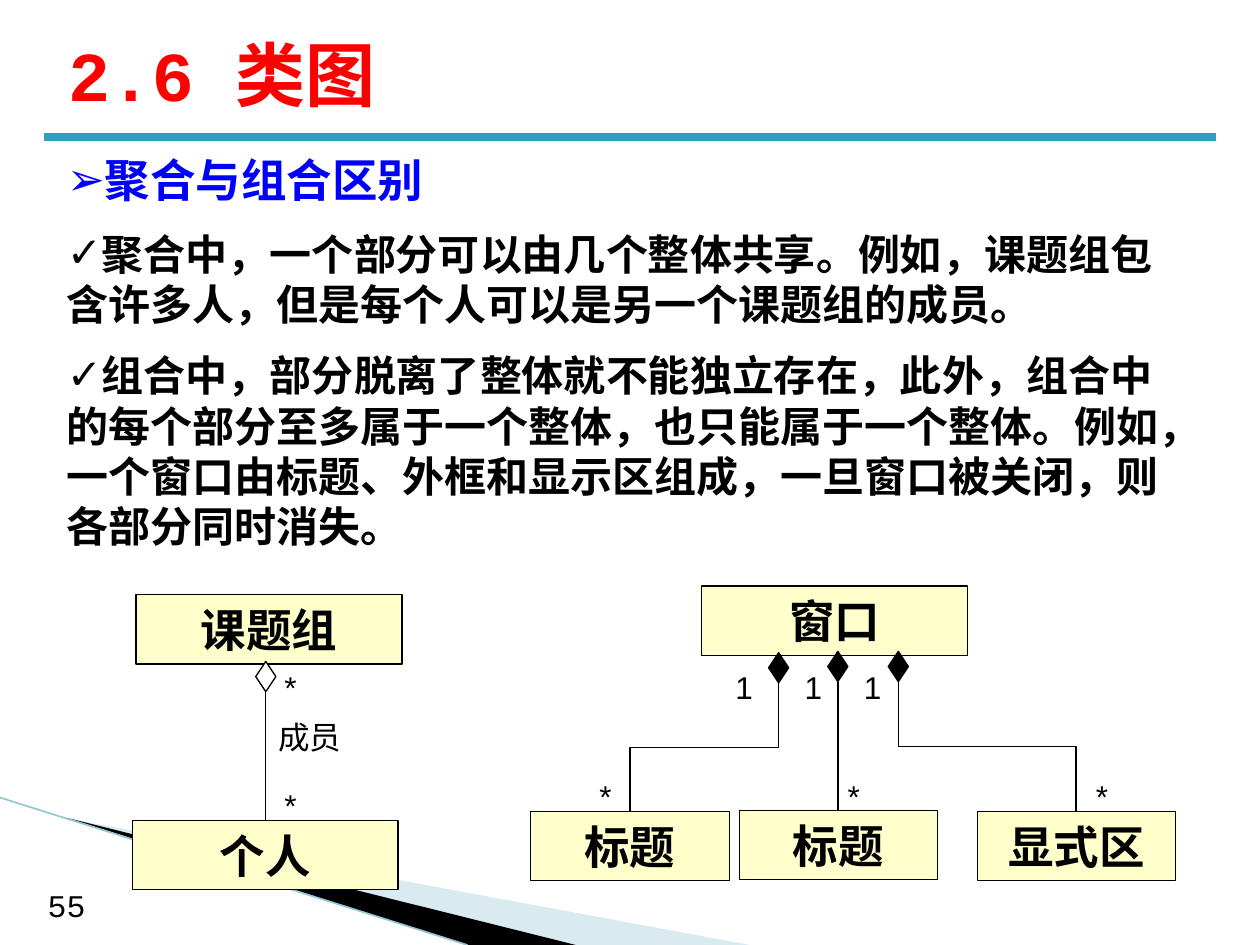
"""Build the class diagram slide comparing aggregation with composition."""
from dataclasses import dataclass

from lxml import etree
from pptx import Presentation
from pptx.dml.color import RGBColor
from pptx.enum.shapes import MSO_CONNECTOR, MSO_SHAPE
from pptx.enum.text import MSO_ANCHOR, MSO_AUTO_SIZE, PP_ALIGN
from pptx.oxml.ns import qn
from pptx.util import Inches, Pt

RECTANGLE, DIAMOND = MSO_SHAPE.RECTANGLE, MSO_SHAPE.DIAMOND
STRAIGHT, ELBOW = MSO_CONNECTOR.STRAIGHT, MSO_CONNECTOR.ELBOW
TOP, MIDDLE = MSO_ANCHOR.TOP, MSO_ANCHOR.MIDDLE
LEFT, CENTER = PP_ALIGN.LEFT, PP_ALIGN.CENTER
NO_AUTOSIZE = MSO_AUTO_SIZE.NONE

BLACK, WHITE, CREAM = "000000", "FFFFFF", "FFFFCC"
HEADING = {"name": "Courier New", "bold": True}
CLASS_NAME = {"name": "Arial", "size": Pt(26), "bold": True}
LABEL = {"name": "Arial", "size": Pt(18), "bold": False}
PAGE_NUMBER = {"name": "Courier New", "size": Pt(18), "bold": False}


@dataclass
class ClassBox:
    name: str
    left: float
    top: float
    width: float


@dataclass
class Link:
    start: tuple[float, float]
    end: tuple[float, float]
    diamond_fill: str


@dataclass
class Label:
    text: str
    left: float
    top: float
    width: float = 0.71
    align: int = CENTER


@dataclass
class Point:
    text: str
    bullet: str
    size: int
    color: str


CLASSES = [
    ClassBox("课题组", 1.08, 4.72, 2.11),
    ClassBox("个人", 1.05, 6.51, 2.11),
    ClassBox("窗口", 5.57, 4.65, 2.11),
    ClassBox("标题", 4.21, 6.44, 1.58),
    ClassBox("标题", 5.87, 6.43, 1.57),
    ClassBox("显式区", 7.76, 6.44, 1.57),
]
LINKS = [
    Link((2.11, 5.49), (2.11, 6.51), WHITE),
    Link((6.18, 5.42), (5, 6.44), BLACK),
    Link((6.65, 5.41), (6.65, 6.43), BLACK),
    Link((7.13, 5.41), (8.54, 6.44), BLACK),
]
LABELS = [
    Label("*", 1.95, 5.25),
    Label("成员", 2.11, 5.65, align=LEFT),
    Label("*", 1.95, 6.19),
    Label("*", 4.45, 6.12),
    Label("*", 6.42, 6.12),
    Label("*", 8.39, 6.12),
    Label("1", 5.55, 5.25),
    Label("1", 6.1, 5.25),
    Label("1", 6.65, 5.25, 0.55),
]
POINTS = [
    Point("聚合与组合区别", "➢", 26, "0000FF"),
    Point("聚合中，一个部分可以由几个整体共享。例如，课题组包含许多人，"
          "但是每个人可以是另一个课题组的成员。", "✓", 24, BLACK),
    Point("组合中，部分脱离了整体就不能独立存在，此外，组合中的每个部分至多属于一个整体，"
          "也只能属于一个整体。例如，一个窗口由标题、外框和显示区组成，"
          "一旦窗口被关闭，则各部分同时消失。", "✓", 24, BLACK),
]


def rgb(value: str) -> RGBColor:
    return RGBColor.from_string(value)


def style_font(font, values: dict, color: str) -> None:
    for attribute, value in values.items():
        setattr(font, attribute, value)
    font.color.rgb = rgb(color)


def place(shape, left: float, top: float, width: float, height: float) -> None:
    bounds = {"left": left, "top": top, "width": width, "height": height}
    for attribute, value in bounds.items():
        setattr(shape, attribute, Inches(value))


def write(frame, text: str, values: dict, color: str, align: int, anchor: int) -> None:
    frame.word_wrap = True
    frame.auto_size = NO_AUTOSIZE
    frame.vertical_anchor = anchor
    paragraph = frame.paragraphs[0]
    paragraph.text = text
    paragraph.alignment = align
    style_font(paragraph.font, values, color)


def add_points(body, points: list[Point]) -> None:
    frame = body.text_frame
    frame.word_wrap = True
    frame.auto_size = NO_AUTOSIZE
    for index, point in enumerate(points):
        paragraph = frame.paragraphs[0] if index == 0 else frame.add_paragraph()
        paragraph.text = point.text
        paragraph.space_before = Pt(12 if index else 0)
        properties = paragraph._p.get_or_add_pPr()
        properties.set("marL", "0")
        properties.set("indent", "0")
        etree.SubElement(properties, qn("a:buFont")).set("typeface", "Arial")
        etree.SubElement(properties, qn("a:buChar")).set("char", point.bullet)
        style_font(paragraph.font, HEADING | {"size": Pt(point.size)}, point.color)


def add_line(slide, kind: int, start: tuple, end: tuple, color: str, width: float):
    line = slide.shapes.add_connector(kind, *map(Inches, (*start, *end)))
    line.line.color.rgb = rgb(color)
    line.line.width = Pt(width)
    etree.SubElement(line._element.spPr, qn("a:effectLst"))
    return line


def add_wedge(slide, corners: list[tuple], color: str, opacity: int) -> None:
    points = [(Inches(x), Inches(y)) for x, y in corners]
    builder = slide.shapes.build_freeform(*points[0])
    builder.add_line_segments(points[1:], close=True)
    wedge = builder.convert_to_shape()
    wedge.shadow.inherit = False
    wedge.fill.solid()
    wedge.fill.fore_color.rgb = rgb(color)
    wedge.line.fill.background()
    if opacity < 100:
        fill_color = wedge._element.spPr.find(".//" + qn("a:srgbClr"))
        etree.SubElement(fill_color, qn("a:alpha")).set("val", str(opacity * 1000))


def add_outlined(slide, kind: int, bounds: tuple, fill: str):
    shape = slide.shapes.add_shape(kind, *map(Inches, bounds))
    shape.shadow.inherit = False
    shape.fill.solid()
    shape.fill.fore_color.rgb = rgb(fill)
    shape.line.color.rgb = rgb(BLACK)
    shape.line.width = Pt(0.75)
    return shape


def add_class(slide, box: ClassBox) -> None:
    shape = add_outlined(slide, RECTANGLE, (box.left, box.top, box.width, 0.55), CREAM)
    write(shape.text_frame, box.name, CLASS_NAME, BLACK, CENTER, MIDDLE)


def add_link(slide, link: Link) -> None:
    (x1, y1), (x2, y2) = link.start, link.end
    center_x, center_y = (x1 + x2) / 2, (y1 + y2) / 2
    half_run, half_rise = (y2 - y1) / 2, abs(x2 - x1) / 2
    side = -1 if x2 > x1 else 1
    elbow = add_line(slide, ELBOW,
                     (center_x - side * half_run, center_y - half_rise),
                     (center_x + side * half_run, center_y + half_rise), BLACK, 0.75)
    turn = 90 if side > 0 else 270
    elbow._element.spPr.find(qn("a:xfrm")).set("rot", str(turn * 60000))
    add_outlined(slide, DIAMOND, (x1 - 0.08, y1 - 0.24, 0.16, 0.24), link.diamond_fill)


def add_label(slide, label: Label, values: dict) -> None:
    bounds = (label.left, label.top, label.width, 0.4)
    box = slide.shapes.add_textbox(*map(Inches, bounds))
    write(box.text_frame, label.text, values, BLACK, label.align, TOP)


def main() -> None:
    deck = Presentation()
    deck.slide_width, deck.slide_height = Inches(10), Inches(7.5)
    slide = deck.slides.add_slide(deck.slide_layouts[1])
    title, body = slide.placeholders
    place(title, 0.44, 0.16, 9, 0.85)
    write(title.text_frame, "2.6 类图", HEADING | {"size": Pt(40)}, "FF0000", LEFT, MIDDLE)
    place(body, 0.43, 1.16, 9.06, 3.37)
    add_points(body, POINTS)

    add_wedge(slide, [(0.55, 6.5), (5.95, 7.5), (4.56, 7.5)], "A0CBDC", 40)
    add_wedge(slide, [(0.53, 6.49), (4.57, 7.5), (3.72, 7.5)], BLACK, 100)
    add_line(slide, STRAIGHT, (0, 6.33), (3.71, 7.5), "97C5D8", 0.95)
    add_line(slide, STRAIGHT, (0.35, 1.09), (9.65, 1.09), "2DA2BF", 4.5)
    add_label(slide, Label("55", 0.28, 6.98, 0.79, LEFT), PAGE_NUMBER)

    for box in CLASSES:
        add_class(slide, box)
    for link in LINKS:
        add_link(slide, link)
    for label in LABELS:
        add_label(slide, label, LABEL)
    deck.save("out.pptx")


if __name__ == "__main__":
    main()
